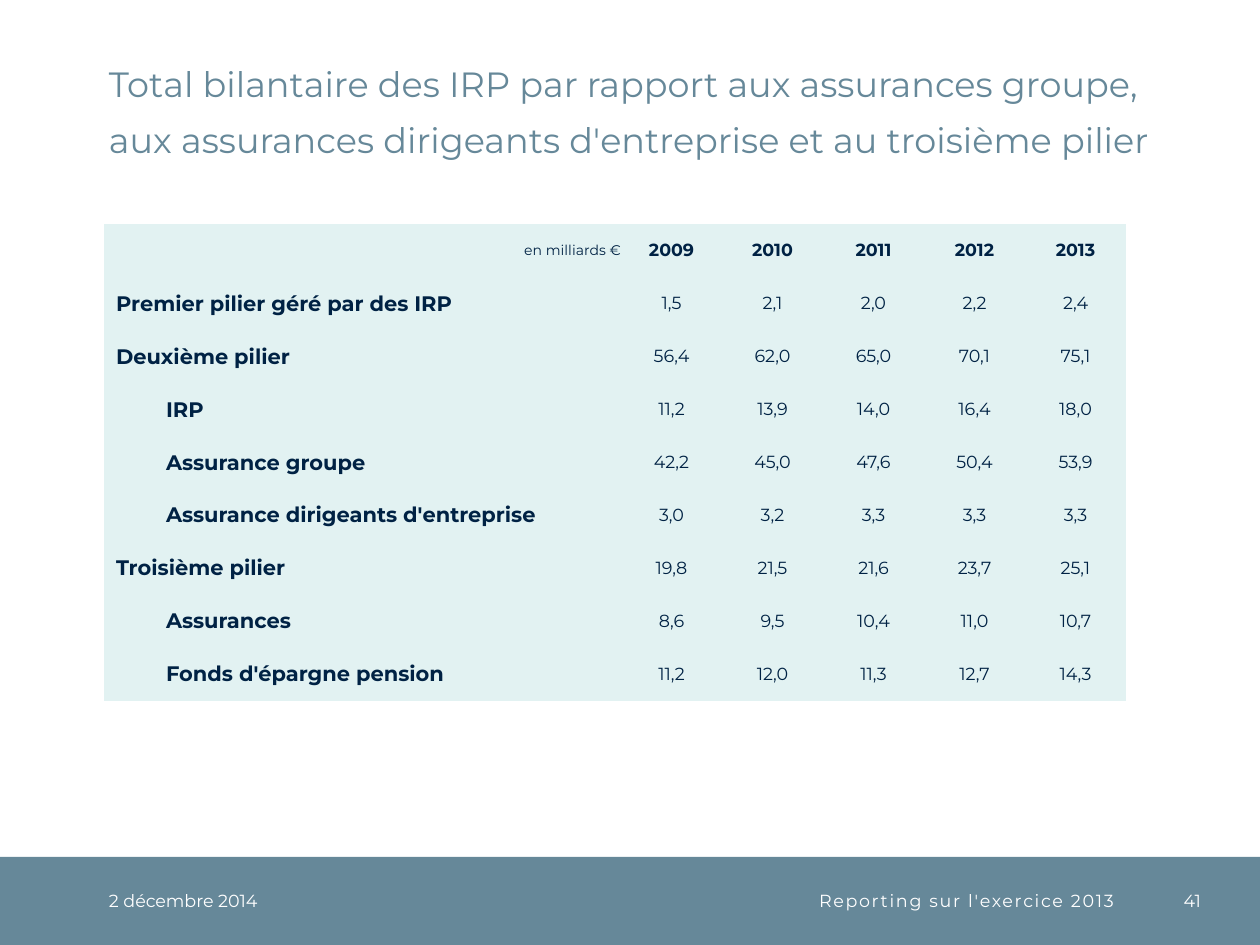
from pptx import Presentation
from pptx.dml.color import RGBColor
from pptx.enum.shapes import MSO_SHAPE
from pptx.enum.text import MSO_ANCHOR, PP_ALIGN
from pptx.util import Emu, Pt

FONT = "Montserrat"
SLATE = RGBColor(0x66, 0x88, 0x99)
NAVY = RGBColor(0x00, 0x22, 0x44)
PALE = RGBColor(0xE2, 0xF2, 0xF2)
WHITE = RGBColor(0xFF, 0xFF, 0xFF)

PIXELS_PER_INCH = 126
SLIDE_WIDTH, SLIDE_HEIGHT = 1260, 945
FOOTER_TOP, FOOTER_HEIGHT = 857, 88
LABEL_WIDTH, YEAR_WIDTH, ROW_HEIGHT = 517, 101, 53
LEVEL_INDENTS = (12, 62)
PLAIN_TABLE_STYLE = "{2D5ABB26-0587-4C30-8999-92F81FD0307C}"

TITLE = (
    "Total bilantaire des IRP par rapport aux assurances groupe, "
    "aux assurances dirigeants d'entreprise et au troisième pilier"
)
UNIT = "en milliards €"
YEARS = ("2009", "2010", "2011", "2012", "2013")
PILLARS = (
    (0, "Premier pilier géré par des IRP", ("1,5", "2,1", "2,0", "2,2", "2,4")),
    (0, "Deuxième pilier", ("56,4", "62,0", "65,0", "70,1", "75,1")),
    (1, "IRP", ("11,2", "13,9", "14,0", "16,4", "18,0")),
    (1, "Assurance groupe", ("42,2", "45,0", "47,6", "50,4", "53,9")),
    (1, "Assurance dirigeants d'entreprise", ("3,0", "3,2", "3,3", "3,3", "3,3")),
    (0, "Troisième pilier", ("19,8", "21,5", "21,6", "23,7", "25,1")),
    (1, "Assurances", ("8,6", "9,5", "10,4", "11,0", "10,7")),
    (1, "Fonds d'épargne pension", ("11,2", "12,0", "11,3", "12,7", "14,3")),
)


def px(length):
    return Emu(round(length * 914400 / PIXELS_PER_INCH))


def write(paragraph, text, size, color, bold=False, align=PP_ALIGN.LEFT):
    paragraph.alignment = align
    run = paragraph.add_run()
    run.text = text
    run.font.name = FONT
    run.font.size = Pt(size)
    run.font.bold = bold
    run.font.color.rgb = color
    return run


def clear_margins(holder):
    holder.margin_left = holder.margin_right = 0
    holder.margin_top = holder.margin_bottom = 0


def add_text_frame(slide, left, top, width, height, anchor):
    box = slide.shapes.add_textbox(px(left), px(top), px(width), px(height))
    frame = box.text_frame
    frame.word_wrap = True
    frame.vertical_anchor = anchor
    clear_margins(frame)
    return frame


def add_title(slide):
    frame = add_text_frame(slide, 109, 25, 1088, 136, MSO_ANCHOR.BOTTOM)
    paragraph = frame.paragraphs[0]
    paragraph.line_spacing = Pt(32)
    write(paragraph, TITLE, 20, SLATE)


def add_footer_band(slide):
    band = slide.shapes.add_shape(
        MSO_SHAPE.RECTANGLE, 0, px(FOOTER_TOP), px(SLIDE_WIDTH), px(FOOTER_HEIGHT)
    )
    band.shadow.inherit = False
    band.fill.solid()
    band.fill.fore_color.rgb = SLATE
    band.line.fill.background()


def add_footer_text(slide, text, left, width, align=PP_ALIGN.LEFT):
    frame = add_text_frame(
        slide, left, FOOTER_TOP, width, FOOTER_HEIGHT, MSO_ANCHOR.MIDDLE
    )
    return write(frame.paragraphs[0], text, 10, WHITE, align=align)


def set_letter_spacing(run, points):
    run.font._element.set("spc", str(points * 100))


def fill_cell(cell, text, size, bold, align, indent=0):
    cell.fill.solid()
    cell.fill.fore_color.rgb = PALE
    cell.vertical_anchor = MSO_ANCHOR.MIDDLE
    clear_margins(cell)
    paragraph = cell.text_frame.paragraphs[0]
    if indent:
        properties = paragraph._p.get_or_add_pPr()
        properties.set("marL", str(px(indent)))
        properties.set("indent", "0")
    write(paragraph, text, size, NAVY, bold, align)


def add_pillar_table(slide):
    row_count, column_count = len(PILLARS) + 1, len(YEARS) + 1
    table = slide.shapes.add_table(
        row_count, column_count, px(104), px(224),
        px(LABEL_WIDTH + YEAR_WIDTH * len(YEARS)), px(ROW_HEIGHT * row_count),
    ).table
    table.first_row = False
    table.horz_banding = False
    table._tbl.tblPr[0].text = PLAIN_TABLE_STYLE
    for index, column in enumerate(table.columns):
        column.width = px(YEAR_WIDTH if index else LABEL_WIDTH)
    for row in table.rows:
        row.height = px(ROW_HEIGHT)

    fill_cell(table.cell(0, 0), UNIT, 8, False, PP_ALIGN.RIGHT, LEVEL_INDENTS[0])
    for column, year in enumerate(YEARS, 1):
        fill_cell(table.cell(0, column), year, 10, True, PP_ALIGN.CENTER)
    for row, (level, label, values) in enumerate(PILLARS, 1):
        fill_cell(
            table.cell(row, 0), label, 12, True, PP_ALIGN.LEFT, LEVEL_INDENTS[level]
        )
        for column, value in enumerate(values, 1):
            fill_cell(table.cell(row, column), value, 10, False, PP_ALIGN.CENTER)


def main():
    presentation = Presentation()
    presentation.slide_width = px(SLIDE_WIDTH)
    presentation.slide_height = px(SLIDE_HEIGHT)
    slide = presentation.slides.add_slide(presentation.slide_layouts[6])

    add_footer_band(slide)
    add_footer_text(slide, "2 décembre 2014", 109, 223)
    add_title(slide)
    report = add_footer_text(
        slide, "Reporting sur l'exercice 2013", 333, 781, PP_ALIGN.RIGHT
    )
    set_letter_spacing(report, 1)
    add_footer_text(slide, "41", 1139, 62, PP_ALIGN.RIGHT)
    add_pillar_table(slide)

    presentation.save("out.pptx")


if __name__ == "__main__":
    main()
